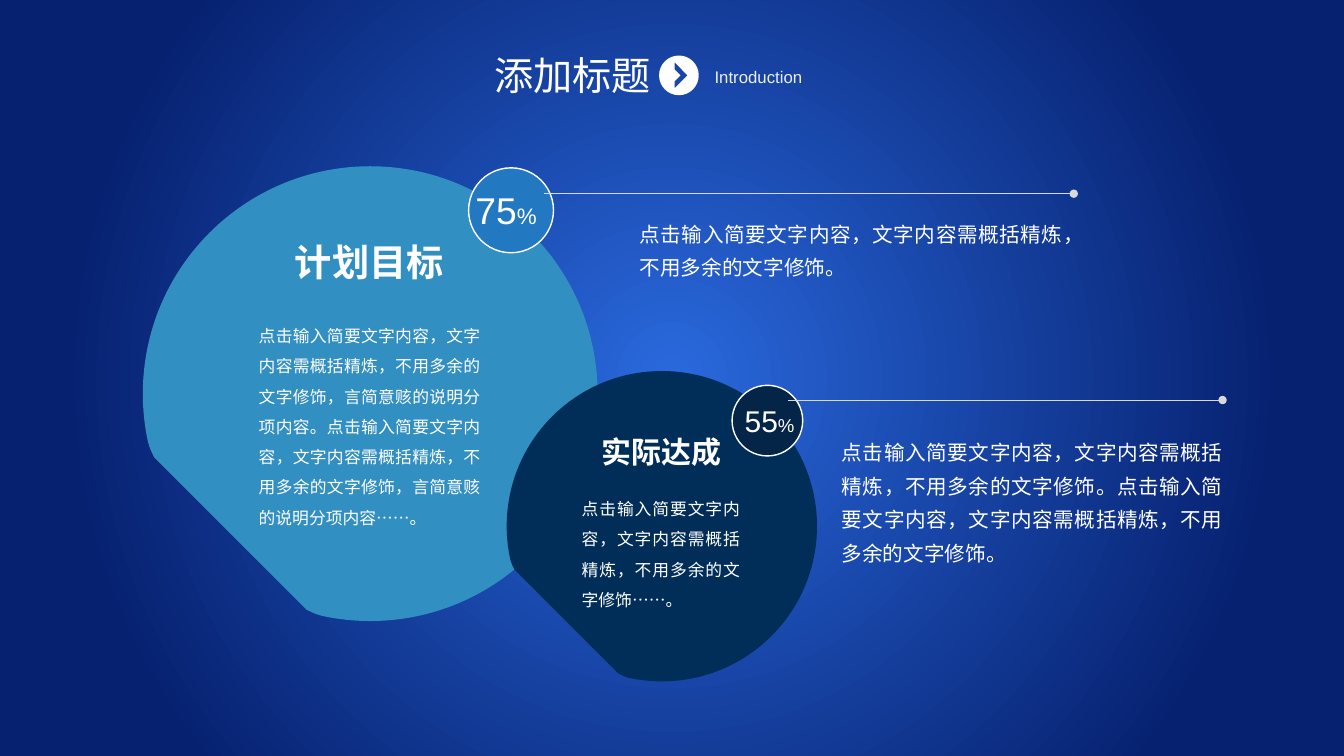
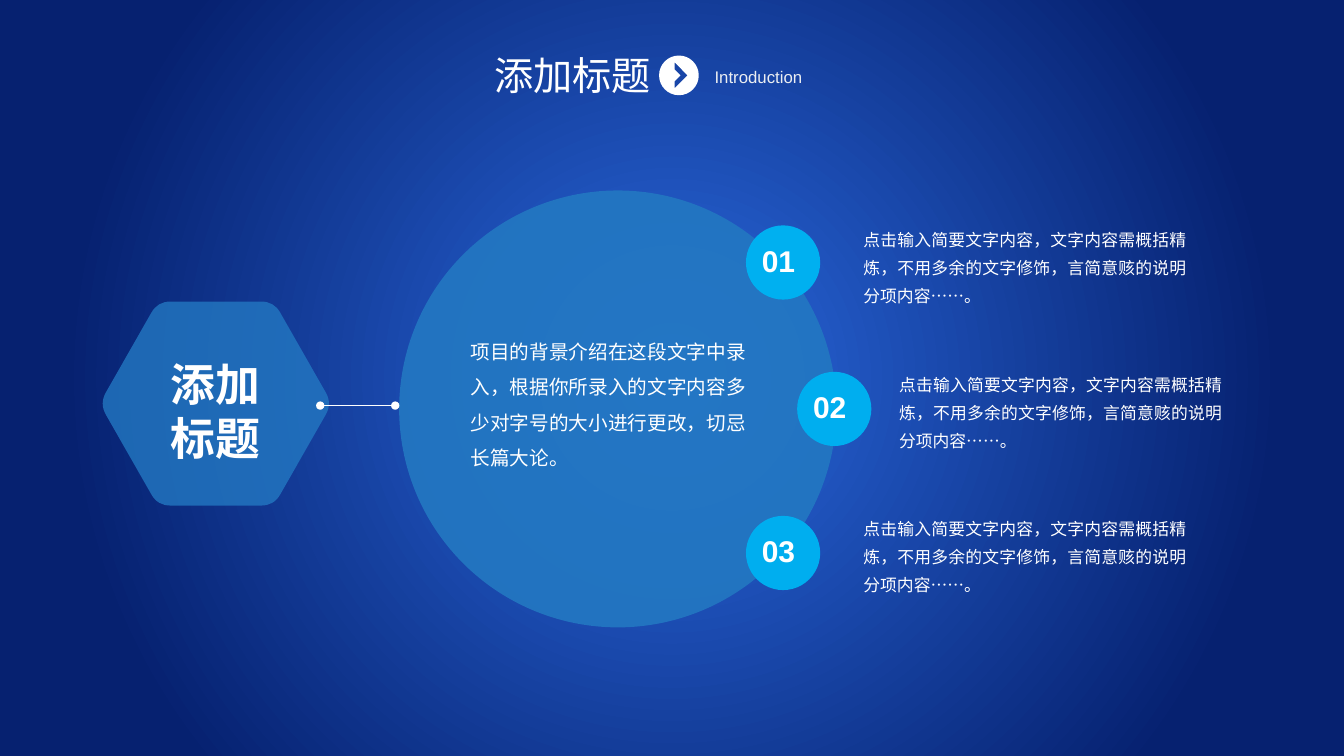
import dataclasses
import math

import lxml.etree
import pptx
import pptx.dml.color
import pptx.enum.lang
import pptx.enum.shapes
import pptx.enum.text
import pptx.oxml.ns
import pptx.util

Cm = pptx.util.Cm
Pt = pptx.util.Pt
qn = pptx.oxml.ns.qn
ALIGN = pptx.enum.text.PP_ALIGN
OVAL = pptx.enum.shapes.MSO_SHAPE.OVAL


@dataclasses.dataclass(frozen=True)
class Theme:
    font: str = "Arial"
    white: str = "FFFFFF"
    pale: str = "EBEEF2"
    rule: str = "D9D9D9"
    glow: str = "2A69DD"
    night: str = "062170"
    sky: str = "328FC1"
    blue: str = "2378C2"
    navy: str = "002E59"
    ink: str = "042548"
    azure: str = "00B0F0"
    cyan: str = "00AEEF"
    title: float = 28
    hero: float = 32
    large: float = 26.6
    medium: float = 21.4
    percent_large: float = 16
    percent_medium: float = 13.3
    note: float = 14.7
    lead: float = 14
    body: float = 12


THEME = Theme()

TITLE = "添加标题"
SUBTITLE = "Introduction"
BRIEF = "点击输入简要文字内容，文字内容需概括精炼，不用多余的文字修饰"
DETAIL = BRIEF + "，言简意赅的说明分项内容"

GOALS = [
    {
        "heading": "计划目标", "heading_box": (7.15, 5.91, 4.32, 1.4),
        "body": DETAIL + "。" + DETAIL + "……。", "body_box": (6.52, 7.96, 5.59, 5.38),
        "note": BRIEF + "。", "note_box": (16.12, 5.36, 10.67, 1.63),
        "percent": "75", "percent_box": (11.73, 4.6, 2.13, 1.4),
        "percent_look": {"wrap": False},
        "center": (9.33, 9.92), "radius": 5.73, "fill": THEME.sky,
        "ring_box": (11.81, 4.23, 2.14, 2.14), "ring_fill": THEME.blue,
        "rule": (27.06, 13.72, 4.88), "size": THEME.large, "sign_size": THEME.percent_large,
    },
    {
        "heading": "实际达成", "heading_box": (14.89, 10.8, 3.56, 1.17),
        "body": BRIEF + "……。", "body_box": (14.66, 12.32, 3.99, 3.07),
        "note": BRIEF + "。" + BRIEF + "。", "note_box": (21.21, 10.86, 9.6, 3.43),
        "percent": "55", "percent_box": (18.38, 10.03, 2.03, 1.17),
        "percent_look": {"align": ALIGN.CENTER},
        "center": (16.68, 13.26), "radius": 3.91, "fill": THEME.navy,
        "ring_box": (18.45, 9.71, 1.78, 1.78), "ring_fill": THEME.ink,
        "rule": (30.81, 19.86, 10.08), "size": THEME.medium, "sign_size": THEME.percent_medium,
    },
]

HEXAGON_LINES = ["添加", "标题"]
BACKGROUND_TEXT = "项目的背景介绍在这段文字中录入，根据你所录入的文字内容多少对字号的大小进行更改，切忌长篇大论。"
POINTS = [
    ("01", (18.8, 5.68), (21.76, 5.59), THEME.azure),
    ("02", (20.09, 9.37), (22.66, 9.25), THEME.cyan),
    ("03", (18.8, 13), (21.76, 12.87), THEME.cyan),
]
BADGE_SIZE = 1.87
CHEVRON = [(0.22, 0), (-0.11, 0.33), (-0.11, 0.15), (0.04, 0), (-0.11, -0.15), (-0.11, -0.33)]


def lengths(values):
    return [Cm(value) for value in values]


def color(value):
    return pptx.dml.color.RGBColor.from_string(value)


def set_all(target, values):
    for name, value in values.items():
        setattr(target, name, value)


def paint_background(master):
    fill = master.background.fill
    fill.gradient()
    for stop, position, value in zip(fill.gradient_stops, (0, 0.79), (THEME.glow, THEME.night)):
        stop.position = position
        stop.color.rgb = color(value)
    gradient = master.element.find(".//" + qn("a:gradFill"))
    linear = gradient.find(qn("a:lin"))
    circle = lxml.etree.Element(qn("a:path"), {"path": "circle"})
    lxml.etree.SubElement(circle, qn("a:fillToRect"), {side: "50000" for side in "ltrb"})
    gradient.replace(linear, circle)


def paint(shape, fill, opacity=100, outline=None):
    shape.shadow.inherit = False
    shape.fill.solid()
    shape.fill.fore_color.rgb = color(fill)
    if opacity < 100:
        value = shape.element.spPr.find(".//" + qn("a:srgbClr"))
        lxml.etree.SubElement(value, qn("a:alpha"), {"val": str(opacity * 1000)})
    if outline:
        shape.line.color.rgb = color(outline)
        shape.line.width = Pt(1)
    else:
        shape.line.fill.background()


def add_disc(shapes, box, fill, **look):
    paint(shapes.add_shape(OVAL, *lengths(box)), fill, **look)


def add_outline(shapes, center, contours, fill, **look):
    builder = None
    segments = []
    for start, *parts in contours:
        points = [
            (Cm(center[0] + x), Cm(center[1] + y))
            for part in [start, *parts] for x, y in part]
        if builder:
            builder.move_to(*points[0])
        else:
            builder = shapes.build_freeform(*points[0])
        builder.add_line_segments(points[1:], close=True)
        segments += parts
    shape = builder.convert_to_shape()
    lines = iter(list(shape.element.iter(qn("a:lnTo"))))
    for segment in segments:
        first, *others = [next(lines) for point in segment]
        if others:
            first.tag_name = None
            curve = lxml.etree.Element(qn("a:cubicBezTo"))
            first.addprevious(curve)
            for line in (first, *others):
                curve.append(line[0])
                line.getparent().remove(line)
    paint(shape, fill, **look)


def add_text(shapes, box, paragraphs, size, fill=THEME.white, bold=False,
             align=ALIGN.LEFT, spacing=None, wrap=True, inset=True):
    frame = shapes.add_textbox(*lengths(box)).text_frame
    set_all(frame, {"word_wrap": wrap, "auto_size": pptx.enum.text.MSO_AUTO_SIZE.SHAPE_TO_FIT_TEXT})
    if not inset:
        set_all(frame, {"margin_" + side: 0 for side in ("left", "top", "right", "bottom")})
    for index, runs in enumerate(paragraphs):
        paragraph = frame.add_paragraph() if index else frame.paragraphs[0]
        set_all(paragraph, {"alignment": align, "line_spacing": spacing})
        for words, run_size in runs:
            run = paragraph.add_run()
            run.text = words
            set_all(run.font, {
                "name": THEME.font, "size": Pt(run_size or size), "bold": bold,
                "language_id": pptx.enum.lang.MSO_LANGUAGE_ID.SIMPLIFIED_CHINESE,
            })
            run.font.color.rgb = color(fill)


def add_line(shapes, words, box, size, **look):
    add_text(shapes, box, [[(words, None)]], size, **look)


def add_block(shapes, words, box, size, spacing):
    add_line(shapes, words, box, size, align=ALIGN.JUSTIFY, spacing=spacing, inset=False)


def add_rule(shapes, start, end, y, fill, width, ends):
    connector = shapes.add_connector(
        pptx.enum.shapes.MSO_CONNECTOR.STRAIGHT, *lengths((start, y, end, y)))
    connector.line.color.rgb = color(fill)
    connector.line.width = Pt(width)
    properties = connector.element.spPr
    for end_name in ends:
        lxml.etree.SubElement(properties.find(qn("a:ln")), qn("a:" + end_name), {"type": "oval"})
    lxml.etree.SubElement(properties, qn("a:effectLst"))


def arc(radius, angles):
    turns = [math.radians(angle) for angle in angles]
    segments = [[(radius * math.cos(turns[0]), radius * math.sin(turns[0]))]]
    for a, b in zip(turns, turns[1:]):
        pull = 4 / 3 * math.tan((b - a) / 4)
        segments.append([
            (radius * x, radius * y) for x, y in (
                (math.cos(a) - pull * math.sin(a), math.sin(a) + pull * math.cos(a)),
                (math.cos(b) + pull * math.sin(b), math.sin(b) - pull * math.cos(b)),
                (math.cos(b), math.sin(b)))])
    return segments


def cut_circle(radius):
    lower = [(-0.24, 0.97), (-0.26, 0.96), (-0.28, 0.95)]
    upper = [(-y, -x) for x, y in reversed(lower)]
    corners = [lower, upper[:1], upper[1:]]
    scaled = [[(radius * x, radius * y) for x, y in segment] for segment in corners]
    start, *curves = arc(radius, (167.7, 180, 270, 360, 450, 462.3))
    return [start, *curves, *scaled[:2], scaled[2] + start]


def rounded_polygon(corners, cut):
    segments = []
    for index, corner in enumerate(corners):
        neighbours = corners[index - 1], corners[(index + 1) % len(corners)]
        start, end = (
            tuple(a + (b - a) * cut / math.dist(corner, other) for a, b in zip(corner, other))
            for other in neighbours)
        pulls = [tuple(a + (b - a) * 2 / 3 for a, b in zip(tip, corner)) for tip in (start, end)]
        segments += [[start], [*pulls, end]]
    return segments


def add_slide(presentation):
    slide = presentation.slides.add_slide(presentation.slide_layouts[6])
    header = slide.shapes.add_group_shape().shapes
    disc = arc(0.5, (360, 270, 180, 90, 0))
    add_outline(header, (17.11, 1.9), [disc, [[point] for point in CHEVRON]], THEME.white)
    add_line(header, SUBTITLE, (17.76, 1.55, 4.04, 0.76), THEME.body, fill=THEME.pale)
    add_line(header, TITLE, (11.1, 1.17, 6.65, 1.45), THEME.title, align=ALIGN.CENTER)
    return slide.shapes


def build_goals(presentation):
    shapes = add_slide(presentation)
    for goal in GOALS:
        size = goal["size"]
        add_outline(shapes, goal["center"], [cut_circle(goal["radius"])], goal["fill"])
        add_disc(shapes, goal["ring_box"], goal["ring_fill"], outline=THEME.white)
        add_line(shapes, goal["heading"], goal["heading_box"], size,
                 bold=True, align=ALIGN.CENTER, wrap=False)
        add_text(shapes, goal["percent_box"],
                 [[(goal["percent"], size), ("%", goal["sign_size"])]], size,
                 **goal["percent_look"])
        add_block(shapes, goal["body"], goal["body_box"], THEME.body, 1.5)
        add_block(shapes, goal["note"], goal["note_box"], THEME.note, Pt(24))
        add_rule(shapes, *goal["rule"], THEME.rule, 0.5, ["headEnd"])


def build_points(presentation):
    shapes = add_slide(presentation)
    half_width, half_height = 2.93, 2.57
    corners = [
        (-half_width, 0), (-half_width / 2, -half_height), (half_width / 2, -half_height),
        (half_width, 0), (half_width / 2, half_height), (-half_width / 2, half_height),
    ]
    add_outline(shapes, (5.44, 10.17), [rounded_polygon(corners, 0.32)], THEME.blue, opacity=80)
    add_disc(shapes, (10.06, 4.8, 11.02, 11.01), THEME.blue, opacity=90)
    for number, (left, top), note_corner, fill in POINTS:
        badge = shapes.add_group_shape().shapes
        add_disc(badge, (left, top, BADGE_SIZE, BADGE_SIZE), fill)
        add_line(badge, number, (left + 0.15, top + 0.3, 1.37, 1.17), THEME.medium,
                 bold=True, wrap=False)
        add_block(shapes, DETAIL + "……。", (*note_corner, 8.15, 2.13), THEME.body, Pt(20))
    add_rule(shapes, 8.07, 9.96, 10.22, THEME.white, 1, ["headEnd", "tailEnd"])
    add_text(shapes, (3.25, 8.86, 4.37, 3), [[(line, None)] for line in HEXAGON_LINES],
             THEME.hero, bold=True, align=ALIGN.CENTER)
    add_block(shapes, BACKGROUND_TEXT, (11.86, 8.27, 6.94, 3.58), THEME.lead, 1.5)


def main():
    presentation = pptx.Presentation()
    set_all(presentation, {"slide_width": Cm(33.87), "slide_height": Cm(19.05)})
    paint_background(presentation.slide_masters[0])
    build_goals(presentation)
    build_points(presentation)
    presentation.save("out.pptx")


if __name__ == "__main__":
    main()
